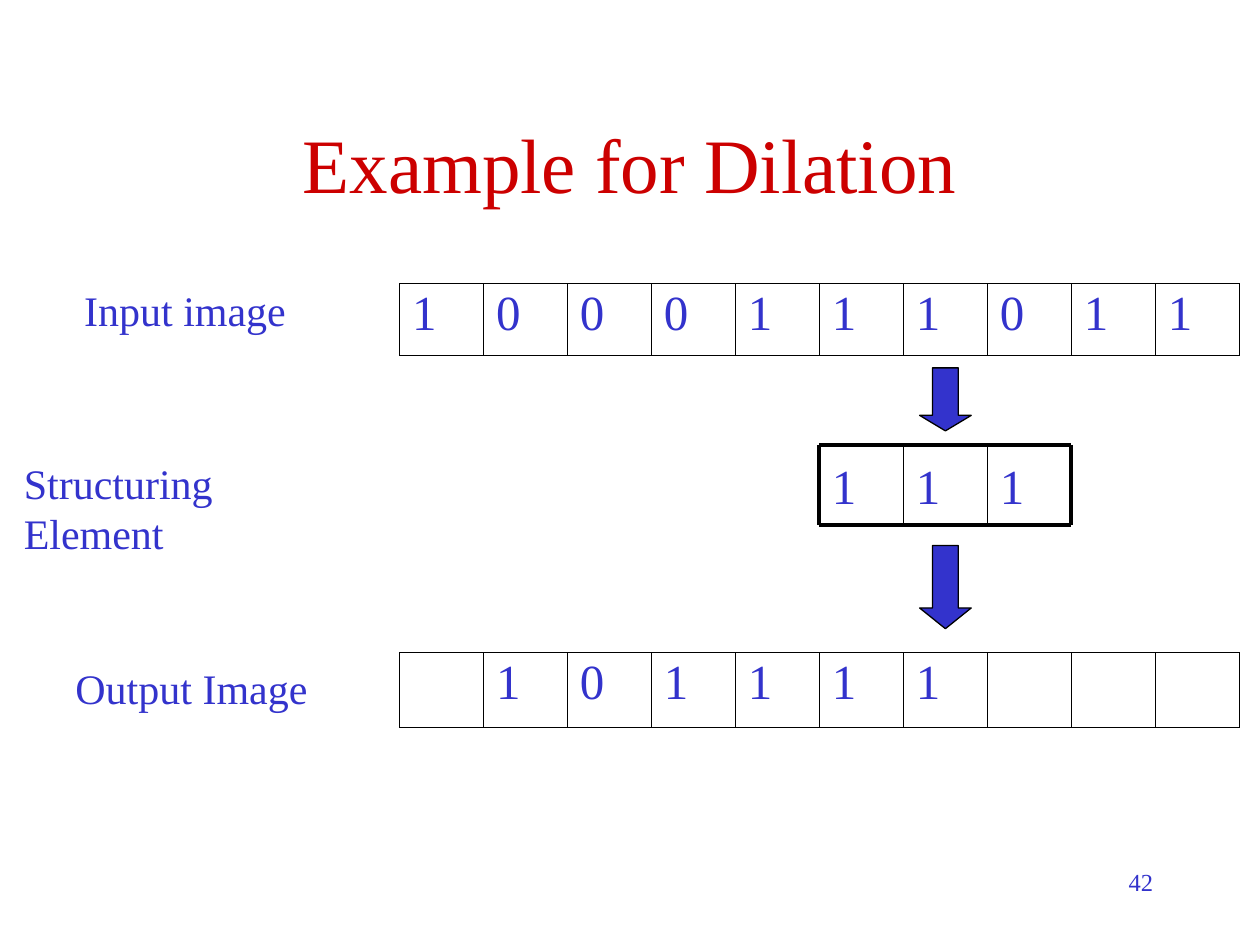
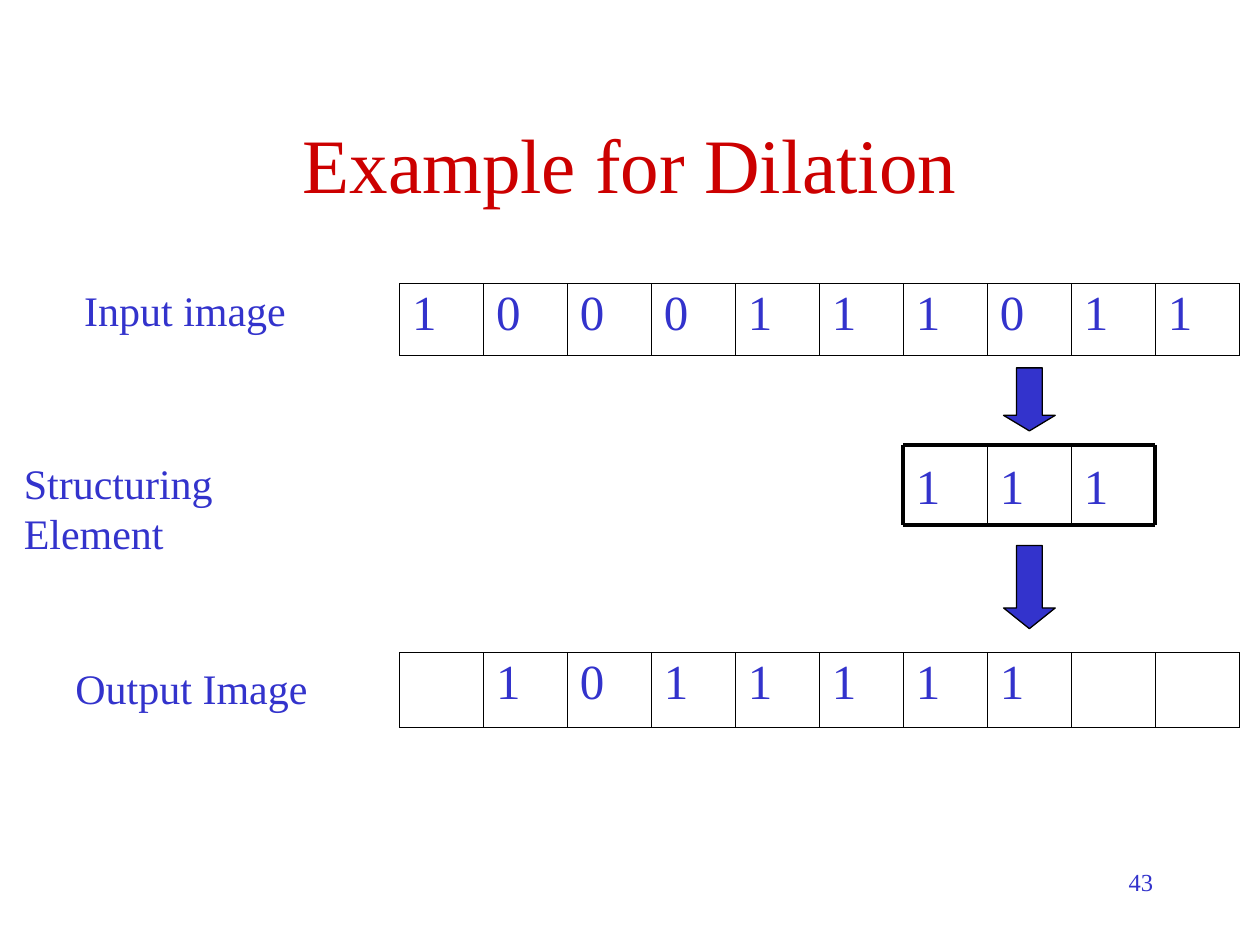
from lxml import etree
from pptx import Presentation
from pptx.dml.color import RGBColor
from pptx.enum.shapes import MSO_CONNECTOR, MSO_SHAPE
from pptx.enum.text import MSO_ANCHOR, PP_ALIGN
from pptx.oxml import parse_xml
from pptx.oxml.ns import nsdecls, qn
from pptx.util import Inches, Pt

LINE = MSO_CONNECTOR.STRAIGHT
DOWN_ARROW = MSO_SHAPE.DOWN_ARROW
TOP, MIDDLE = MSO_ANCHOR.TOP, MSO_ANCHOR.MIDDLE
LEFT, CENTER, RIGHT = PP_ALIGN.LEFT, PP_ALIGN.CENTER, PP_ALIGN.RIGHT

FONT = "Times New Roman"
COLORS = {"title": "CC0000", "text": "3333CC", "line": "000000"}

# Pixel grid shared by the tables and the structuring element
GRID_LEFT = 3.17
CELL = 2 / 3
COLS = 10
ELEMENT = "111"
ELEMENT_TOP, ELEMENT_H = 3.53, 0.64

INPUT = "1000111011"
LABELS = [("Input image", 0.57, 2.21, 1.8),
          ("Structuring Element", 0.09, 3.58, 2.89),
          ("Output Image", 0.5, 5.21, 2.04)]
ARROWS = [(4.33, 0.66, 0.4), (2.92, 0.5, 0.3)]  # top, height, head
ARROW_W = 0.41

# Page number, first column under the structuring element, output so far
STEPS = [("42", 5, " 101111   "),
         ("43", 6, " 1011111  ")]


def write(tf, text, size, color="text", align=LEFT, anchor=TOP, wrap=True):
    tf.text = text
    tf.word_wrap = wrap
    tf.vertical_anchor = anchor
    p = tf.paragraphs[0]
    p.alignment = align
    p.font.name = FONT
    p.font.size = Pt(size)
    p.font.color.rgb = RGBColor.from_string(COLORS[color])


def pixel_table(s, top, height, values):
    frame = s.shapes.add_table(1, COLS, Inches(GRID_LEFT), Inches(top),
                               Inches(CELL * COLS), Inches(height))
    table = frame.table
    table.first_row = table.horz_banding = False
    for i, value in enumerate(values):
        table.columns[i].width = Inches(CELL)
        cell = table.cell(0, i)
        write(cell.text_frame, value.strip(), 28)
        cell.text_frame.paragraphs[0].line_spacing = 0.93
        # Thin inner borders, heavier outer ones
        widths = {"lnL": 0.5 if i == 0 else 0.23,
                  "lnR": 0.5 if i == COLS - 1 else 0.23,
                  "lnT": 0.5, "lnB": 0.5}
        for side, width in widths.items():
            cell._tc.get_or_add_tcPr().append(parse_xml(
                f'<a:{side} {nsdecls("a")} w="{Pt(width)}"><a:solidFill>'
                f'<a:srgbClr val="{COLORS["line"]}"/></a:solidFill></a:{side}>'))
        cell.fill.background()


prs = Presentation()
prs.slide_width, prs.slide_height = Inches(10), Inches(7.5)

for number, first_col, output in STEPS:
    s = prs.slides.add_slide(prs.slide_layouts[5])

    # Title and page number
    title = s.shapes.title
    title.left, title.top = Inches(0.75), Inches(0.67)
    title.width, title.height = Inches(8.5), Inches(1.25)
    write(title.text_frame, "Example for Dilation", 44, "title", CENTER, MIDDLE)
    sp = s.shapes.add_textbox(Inches(7.17), Inches(6.83), Inches(2.08), Inches(0.5))
    write(sp.text_frame, number, 14, align=RIGHT)

    # Input and output rows with their labels
    pixel_table(s, 2.25, 0.57, INPUT)
    pixel_table(s, 5.18, 0.59, output)
    for text, left, top, width in LABELS:
        sp = s.shapes.add_textbox(Inches(left), Inches(top), Inches(width), Inches(0.5))
        write(sp.text_frame, text, 24, wrap=False)

    # Structuring element: digits, then frame and dividers
    group = s.shapes.add_group_shape()
    x0 = GRID_LEFT + first_col * CELL
    x1 = x0 + len(ELEMENT) * CELL
    y0, y1 = ELEMENT_TOP, ELEMENT_TOP + ELEMENT_H
    for i, digit in enumerate(ELEMENT):
        sp = group.shapes.add_textbox(Inches(x0 + i * CELL), Inches(y0),
                                      Inches(CELL), Inches(ELEMENT_H))
        write(sp.text_frame, digit, 28, anchor=MIDDLE)
    lines = [(x0, y, x1, y, 2.25) for y in (y0, y1)]
    for i in range(len(ELEMENT) + 1):
        x = x0 + i * CELL
        lines.append((x, y0, x, y1, 2.25 if i in (0, len(ELEMENT)) else 1))
    for xa, ya, xb, yb, weight in lines:
        line = group.shapes.add_connector(LINE, Inches(xa), Inches(ya),
                                          Inches(xb), Inches(yb))
        line.line.color.rgb = RGBColor.from_string(COLORS["line"])
        line.line.width = Pt(weight)
        etree.SubElement(line._element.spPr, qn("a:effectLst"))

    # Arrows above and below the structuring element
    for top, height, head in ARROWS:
        arrow = s.shapes.add_shape(DOWN_ARROW, Inches((x0 + x1 - ARROW_W) / 2),
                                   Inches(top), Inches(ARROW_W), Inches(height))
        arrow.adjustments[0], arrow.adjustments[1] = 0.5, head
        arrow.shadow.inherit = False
        arrow.fill.solid()
        arrow.fill.fore_color.rgb = RGBColor.from_string(COLORS["text"])
        arrow.line.color.rgb = RGBColor.from_string(COLORS["line"])
        arrow.line.width = Pt(0.75)

prs.save("out.pptx")
